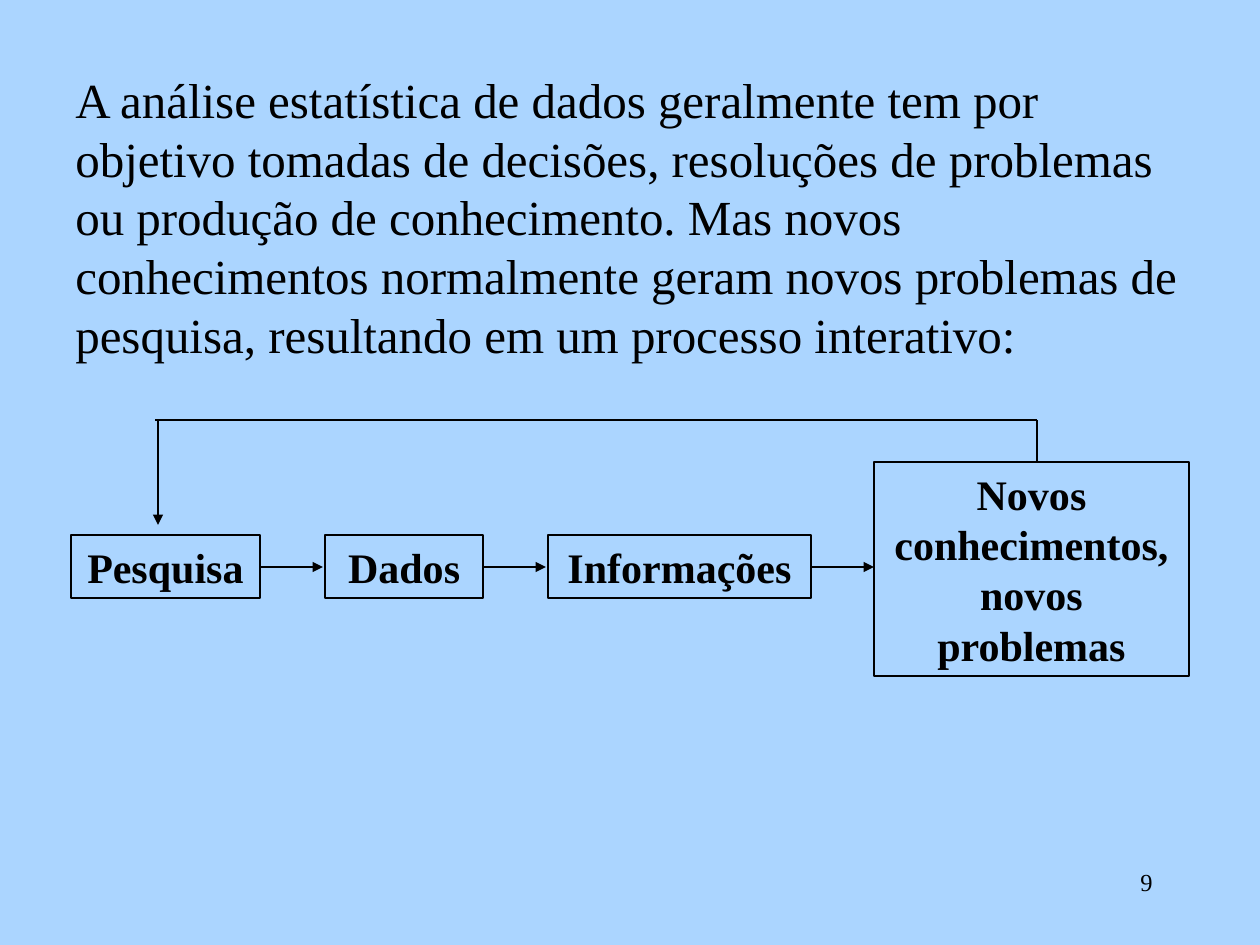
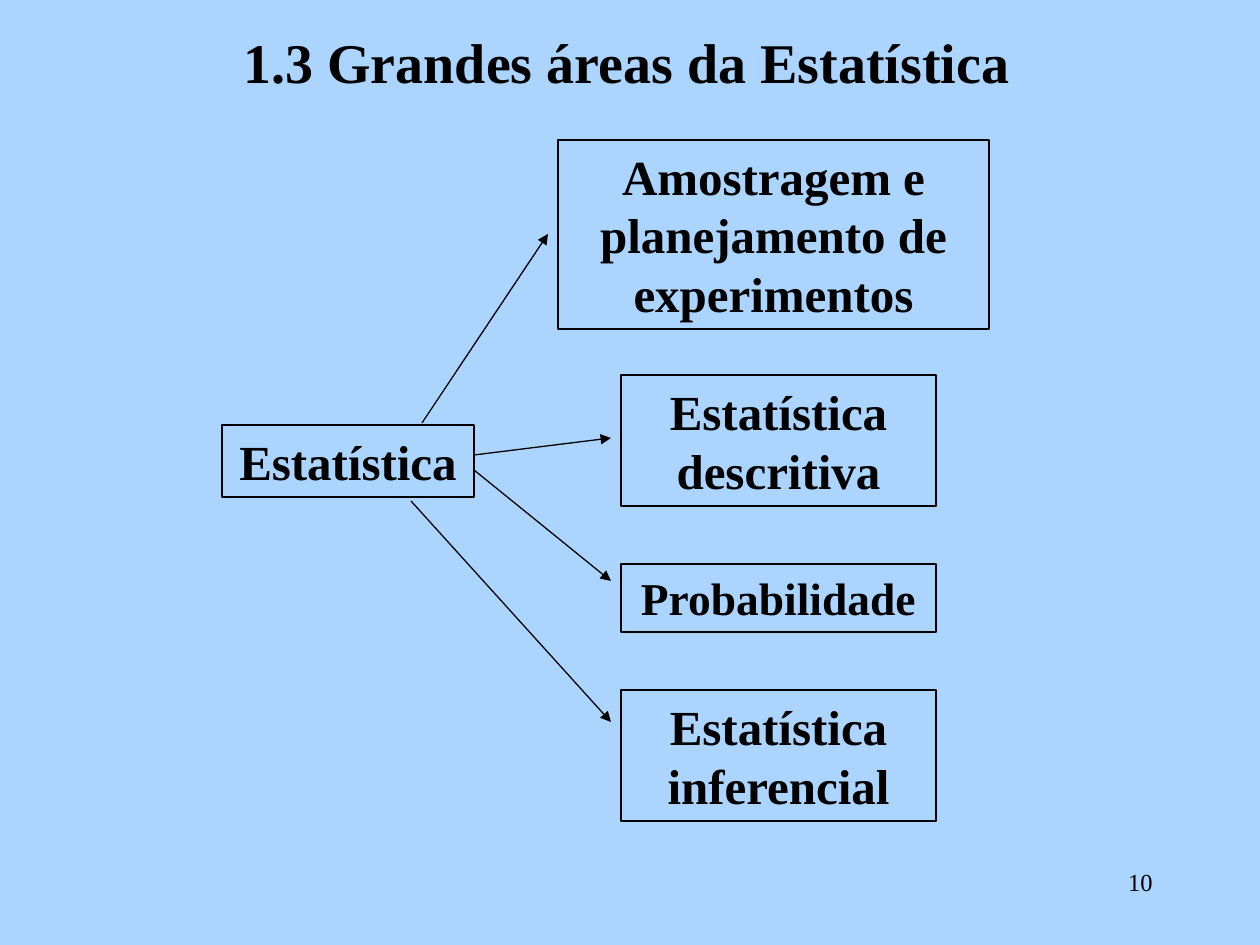
from lxml import etree
from pptx import Presentation, util as u
from pptx.dml.color import RGBColor
from pptx.enum import shapes, text
from pptx.oxml.ns import qn

EMU_PER_PX = 914400 / 126
SKY, INK = "ABD5FF", "000000"
FONT = "Times New Roman"
LEFT, CENTER, RIGHT = text.PP_ALIGN.LEFT, text.PP_ALIGN.CENTER, text.PP_ALIGN.RIGHT


def add_text(slide, content, box, size=28, bold=False, align=LEFT,
             framed=False, wrap=True, grow=True):
    """Put text at box (left, top, width, height in px), in an outline if framed."""
    place = [round(v * EMU_PER_PX) for v in box]
    if framed:
        shape = slide.shapes.add_shape(shapes.MSO_SHAPE.RECTANGLE, *place)
        shape.shadow.inherit = False
        shape.fill.background()
        shape.line.color.rgb = RGBColor.from_string(INK)
        shape.line.width = u.Pt(0.75)
    else:
        shape = slide.shapes.add_textbox(*place)
    frame = shape.text_frame
    frame.word_wrap = wrap
    frame.vertical_anchor = text.MSO_ANCHOR.TOP
    if grow:
        frame.auto_size = text.MSO_AUTO_SIZE.SHAPE_TO_FIT_TEXT
    paragraph = frame.paragraphs[0]
    paragraph.alignment = align
    run = paragraph.add_run()
    run.text = content
    run.font.name, run.font.size, run.font.bold = FONT, u.Pt(size), bold
    run.font.color.rgb = RGBColor.from_string(INK)


def add_line(slide, start, end, arrow=True):
    ends = [round(v * EMU_PER_PX) for v in (*start, *end)]
    line = slide.shapes.add_connector(shapes.MSO_CONNECTOR.STRAIGHT, *ends)
    line.line.color.rgb = RGBColor.from_string(INK)
    line.line.width = u.Pt(0.75)
    if arrow:
        etree.SubElement(line.line._get_or_add_ln(), qn("a:tailEnd"), type="triangle")
    etree.SubElement(line._element.spPr, qn("a:effectLst"))


deck = Presentation()
deck.slide_width, deck.slide_height = u.Inches(10), u.Inches(7.5)
process, areas = [deck.slides.add_slide(deck.slide_layouts[6]) for _ in range(2)]

for number, slide in enumerate((process, areas), start=9):
    slide.background.fill.solid()
    slide.background.fill.fore_color.rgb = RGBColor.from_string(SKY)
    add_text(slide, str(number), (903, 861, 262, 63), size=14, align=RIGHT, grow=False)

# Slide 9: the research cycle
add_text(process,
         "A análise estatística de dados geralmente tem por objetivo tomadas de "
         "decisões, resoluções de problemas ou produção de conhecimento. Mas novos "
         "conhecimentos normalmente geram novos problemas de pesquisa, resultando "
         "em um processo interativo:",
         (63, 63, 1144, 307))

STEP_TOP, STEP_HEIGHT, STEP_ARROW = 535, 63, 63
step_middle = STEP_TOP + STEP_HEIGHT // 2 + 1
for step, left, width in [("Pesquisa", 71, 189), ("Dados", 325, 158),
                          ("Informações", 548, 263)]:
    add_text(process, step, (left, STEP_TOP, width, STEP_HEIGHT),
             size=24, bold=True, align=CENTER, framed=True)
    right = left + width
    add_line(process, (right, step_middle), (right + STEP_ARROW, step_middle))
add_text(process, "Novos conhecimentos, novos problemas", (874, 462, 315, 214),
         size=24, bold=True, align=CENTER, framed=True)

RETURN_TOP, RETURN_RIGHT = 420, 1037
add_line(process, (RETURN_RIGHT, RETURN_TOP), (RETURN_RIGHT, 462), arrow=False)
add_line(process, (RETURN_RIGHT, RETURN_TOP), (155, RETURN_TOP), arrow=False)
add_line(process, (158, RETURN_TOP), (158, 525))

# Slide 10: the branches of statistics
add_text(areas, "1.3 Grandes áreas da Estatística", (231, 21, 806, 81),
         size=32, bold=True, wrap=False)
add_text(areas, "Estatística", (222, 425, 252, 72), bold=True, align=CENTER, framed=True)

branches = [
    ("Amostragem e planejamento de experimentos", (558, 140, 431, 189), 28,
     (422, 423), (548, 234)),
    ("Estatística descritiva", (621, 375, 315, 131), 28, (474, 455), (611, 438)),
    ("Probabilidade", (621, 564, 315, 68), 26, (474, 470), (611, 581)),
    ("Estatística inferencial", (621, 690, 315, 131), 28, (411, 501), (611, 722)),
]
for branch, box, size, start, end in branches:
    add_text(areas, branch, box, size=size, bold=True, align=CENTER, framed=True)
    add_line(areas, start, end)

deck.save("out.pptx")
